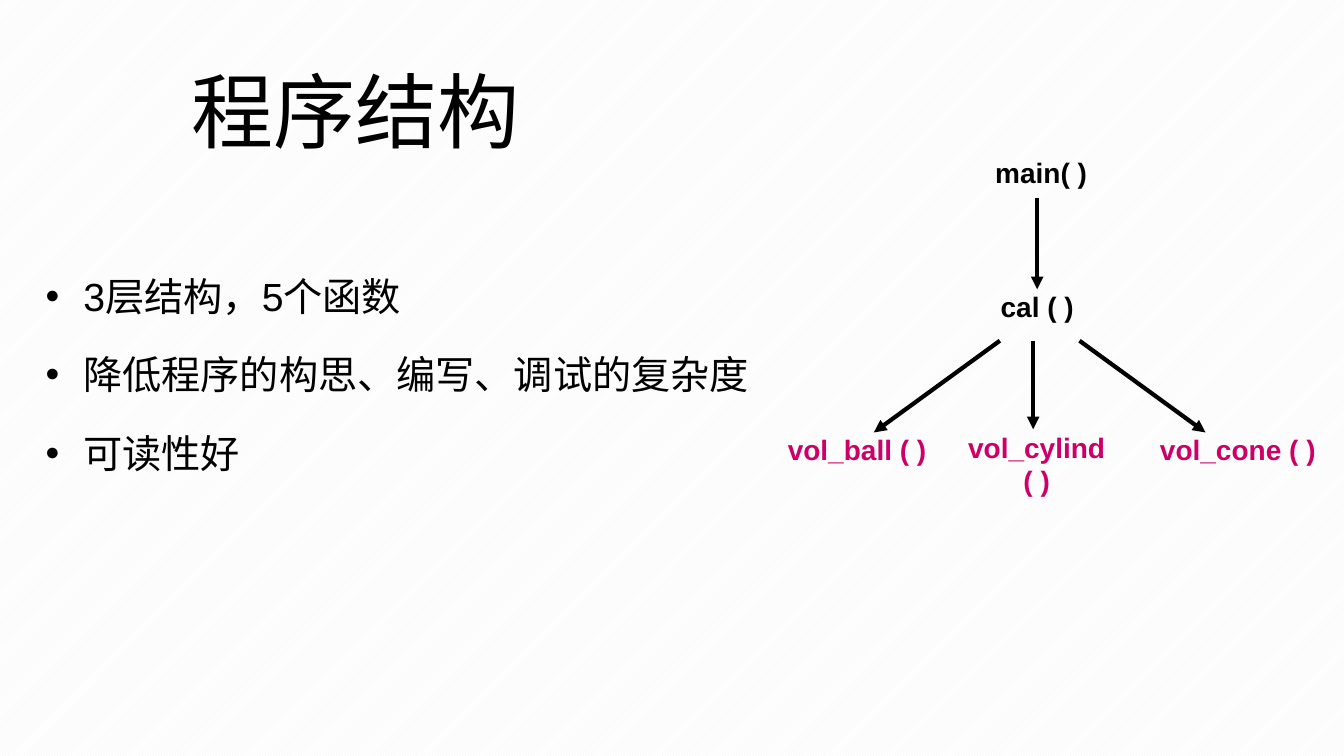
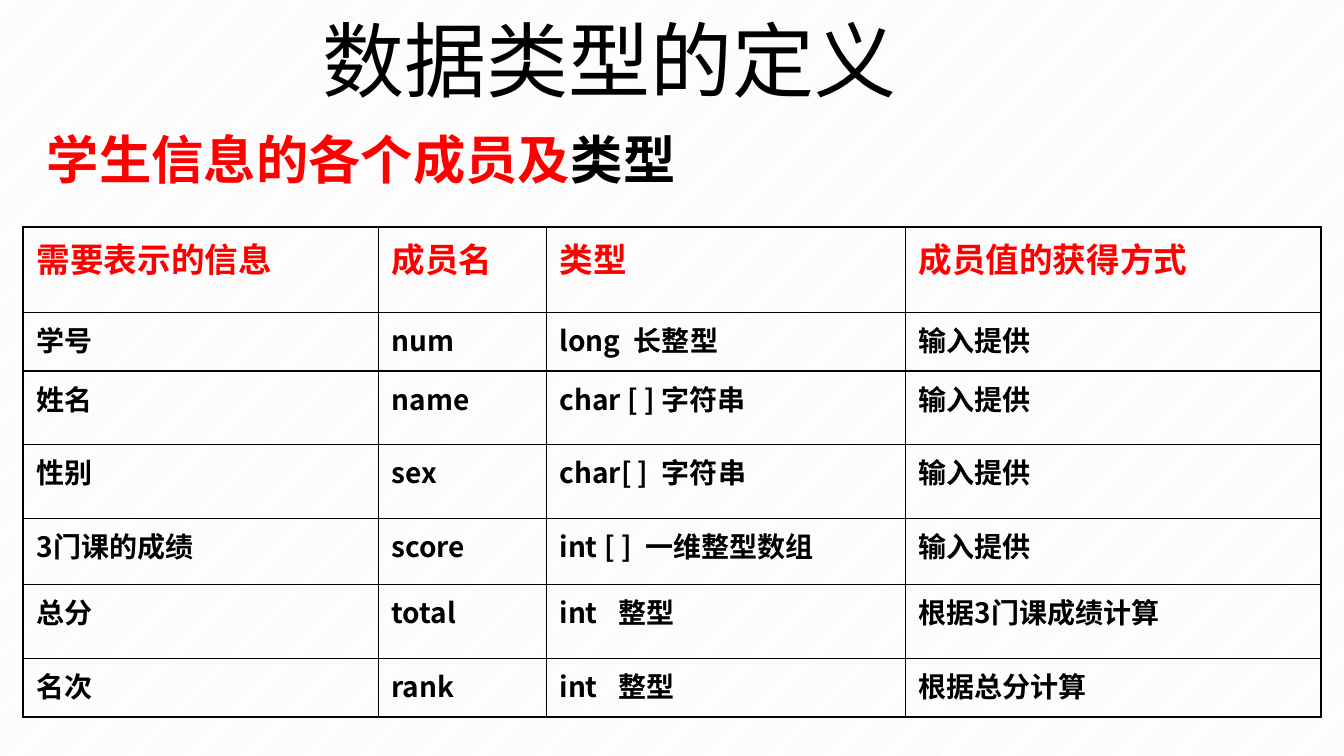
from dataclasses import dataclass

from lxml.etree import SubElement
from pptx import Presentation
from pptx.dml.color import RGBColor
from pptx.enum.dml import MSO_PATTERN
from pptx.enum.shapes import MSO_CONNECTOR
from pptx.enum.text import MSO_ANCHOR, MSO_AUTO_SIZE, PP_ALIGN
from pptx.oxml.ns import qn
from pptx.util import Pt

BLACK = RGBColor(0, 0, 0)
WHITE = RGBColor(255, 255, 255)
PALE = RGBColor(0xF2, 0xF2, 0xF2)
RED = RGBColor(255, 0, 0)
PINK = RGBColor(0xCC, 0, 0x66)
HATCH = MSO_PATTERN.LIGHT_UPWARD_DIAGONAL
STRAIGHT = MSO_CONNECTOR.STRAIGHT
TOP, MIDDLE = MSO_ANCHOR.TOP, MSO_ANCHOR.MIDDLE
LEFT, CENTER = PP_ALIGN.LEFT, PP_ALIGN.CENTER
FIXED = MSO_AUTO_SIZE.NONE
SANS = "Noto Sans CJK SC"
PAD_X, PAD_Y = 9.6, 4.8
TITLE_ONLY = 5


@dataclass(frozen=True)
class Box:
    """A rectangle in points."""
    x: float
    y: float
    w: float
    h: float


@dataclass(frozen=True)
class Style:
    """The look of a run of text."""
    size: float
    font: str = "Arial"
    color: RGBColor = BLACK
    bold: bool = False


@dataclass(frozen=True)
class Label:
    """A function name in the call tree."""
    text: str
    box: Box
    color: RGBColor = BLACK


@dataclass(frozen=True)
class Arrow:
    """A call from one function to another."""
    x1: float
    y1: float
    x2: float
    y2: float


@dataclass(frozen=True)
class Member:
    """A row of the table; gap widens the space inside the type."""
    info: str
    name: str
    kind: str
    gap: float
    label: str
    source: str


HEAD = Style(58.6)
LIST = Style(28)
COLS = (253.5, 120, 256.5, 297)
ROWS = (61.2, 41.8, 52.6, 52.6, 47.5, 52.6, 41.8)
HEADERS = ("需要表示的信息", "成员名", "类型", "成员值的获得方式")
POINTS = ("3层结构，5个函数", "降低程序的构思、编写、调试的复杂度", "可读性好")
LABELS = (
    Label("main( )", Box(689, 107.3, 109.4, 65.5)),
    Label("cal ( )", Box(686.2, 203, 109.4, 65.5)),
    Label("vol_ball ( )", Box(548.6, 305.3, 127.4, 52.6), PINK),
    Label("vol_cylind ( )", Box(674.5, 303.8, 132, 47.5), PINK),
    Label("vol_cone ( )", Box(812.9, 305.3, 142.6, 52.6), PINK),
)
ARROWS = (
    Arrow(740.9, 141.1, 740.9, 206.6),
    Arrow(714.2, 243.4, 624.2, 308.9),
    Arrow(738, 243.4, 738, 306.7),
    Arrow(771.1, 243.4, 861.1, 308.9),
)
MEMBERS = (
    Member("学号", "num", "long", 5, "长整型", "输入提供"),
    Member("姓名", "name", "char [ ]", 0, "字符串", "输入提供"),
    Member("性别", "sex", "char[ ]", 5, "字符串", "输入提供"),
    Member("3门课的成绩", "score", "int [ ]", 5, "一维整型数组", "输入提供"),
    Member("总分", "total", "int", 10, "整型", "根据3门课成绩计算"),
    Member("名次", "rank", "int", 10, "整型", "根据总分计算"),
)


def add_run(para, text: str, style: Style, gap: float = 0) -> None:
    """Add one styled run, with letter spacing if asked."""
    run = para.add_run()
    run.text = text
    font = run.font
    font.name, font.size, font.bold = style.font, Pt(style.size), style.bold
    font.color.rgb = style.color
    props = font._element
    SubElement(props, qn("a:ea")).set("typeface", style.font)
    if gap:
        props.set("spc", str(round(gap * 100)))


def set_pad(frame) -> None:
    """Set the wide insets that titles and lists share."""
    frame.margin_left = frame.margin_right = Pt(PAD_X)
    frame.margin_top = frame.margin_bottom = Pt(PAD_Y)


def add_text(shapes, box: Box, align=LEFT, anchor=TOP):
    """Add a wrapping text box and return its frame."""
    shape = shapes.add_textbox(Pt(box.x), Pt(box.y), Pt(box.w), Pt(box.h))
    frame = shape.text_frame
    frame.word_wrap = True
    frame.vertical_anchor = anchor
    frame.paragraphs[0].alignment = align
    return frame


def add_slide(deck, text: str, box: Box, anchor):
    """Add a slide and format its title."""
    slide = deck.slides.add_slide(deck.slide_layouts[TITLE_ONLY])
    title = slide.shapes.title
    title.left, title.top = Pt(box.x), Pt(box.y)
    title.width, title.height = Pt(box.w), Pt(box.h)
    frame = title.text_frame
    frame.auto_size = FIXED
    frame.word_wrap = True
    frame.vertical_anchor = anchor
    set_pad(frame)
    para = frame.paragraphs[0]
    para.alignment = CENTER
    add_run(para, text, HEAD)
    return slide


def add_list(shapes, box: Box) -> None:
    """Add the bullet list."""
    frame = add_text(shapes, box)
    set_pad(frame)
    for i, text in enumerate(POINTS):
        para = frame.add_paragraph() if i else frame.paragraphs[0]
        para.line_spacing = 1.5
        para.space_before = Pt(5.6)
        props = para._p.get_or_add_pPr()
        props.set("marL", str(Pt(27)))
        props.set("indent", str(Pt(-27)))
        SubElement(props, qn("a:buFont")).set("typeface", "Arial")
        SubElement(props, qn("a:buChar")).set("char", "•")
        add_run(para, text, LIST)


def add_arrow(shapes, arrow: Arrow) -> None:
    """Add a straight arrow without a shadow."""
    ends = (Pt(n) for n in (arrow.x1, arrow.y1, arrow.x2, arrow.y2))
    link = shapes.add_connector(STRAIGHT, *ends)
    link.line.color.rgb = BLACK
    link.line.width = Pt(3)
    SubElement(link.line._get_or_add_ln(), qn("a:tailEnd")).set("type", "triangle")
    SubElement(link._element.spPr, qn("a:effectLst"))


def add_tree(slide) -> None:
    """Add the call tree as one group."""
    shapes = slide.shapes.add_group_shape().shapes
    for label in LABELS:
        frame = add_text(shapes, label.box, CENTER)
        style = Style(20, color=label.color, bold=True)
        add_run(frame.paragraphs[0], label.text, style)
    for arrow in ARROWS:
        add_arrow(shapes, arrow)


def set_edge(cell, side: str, width: float) -> None:
    """Draw one black border of a cell."""
    props = cell._tc.get_or_add_tcPr()
    line = SubElement(props, qn(f"a:ln{side}"), w=str(Pt(width)))
    fill = SubElement(line, qn("a:solidFill"))
    SubElement(fill, qn("a:srgbClr")).set("val", str(BLACK))


def add_table(shapes, box: Box) -> None:
    """Add the table of members with a heavier frame."""
    frame = shapes.add_table(len(ROWS), len(COLS), Pt(box.x), Pt(box.y),
                             Pt(box.w), Pt(box.h))
    table = frame.table
    table.first_row = table.horz_banding = False
    for col, width in zip(table.columns, COLS):
        col.width = Pt(width)
    for row, height in zip(table.rows, ROWS):
        row.height = Pt(height)
    head = Style(24, SANS, RED, True)
    body = Style(20, SANS, bold=True)
    for r in range(len(ROWS)):
        for c in range(len(COLS)):
            cell = table.cell(r, c)
            set_pad(cell)
            outer = {"L": c == 0, "R": c == len(COLS) - 1,
                     "T": r == 0, "B": r == len(ROWS) - 1}
            for side, heavy in outer.items():
                set_edge(cell, side, 2 if heavy else 1)
            cell.fill.background()
    for c, text in enumerate(HEADERS):
        add_run(table.cell(0, c).text_frame.paragraphs[0], text, head)
    for r, item in enumerate(MEMBERS, 1):
        paras = [table.cell(r, c).text_frame.paragraphs[0]
                 for c in range(len(COLS))]
        add_run(paras[0], item.info, body)
        add_run(paras[1], item.name, body)
        add_run(paras[2], item.kind, body)
        add_run(paras[2], " ", body, item.gap)
        add_run(paras[2], item.label, body)
        add_run(paras[3], item.source, body)


def main() -> None:
    """Build and save both slides."""
    deck = Presentation()
    deck.slide_width, deck.slide_height = Pt(960), Pt(540)
    fill = deck.slide_master.background.fill
    fill.patterned()
    fill.pattern = HATCH
    fill.fore_color.rgb, fill.back_color.rgb = PALE, WHITE

    tree = add_slide(deck, "程序结构", Box(69.8, 49, 368, 59), MIDDLE)
    add_list(tree.shapes, Box(23, 172.8, 552.2, 168.5))
    add_tree(tree)

    data = add_slide(deck, "数据类型的定义", Box(3.6, 2.2, 864, 85.7), TOP)
    frame = add_text(data.shapes, Box(1.4, 87.1, 513.4, 52.6), CENTER, MIDDLE)
    para = frame.paragraphs[0]
    for text, color in (("学生信息的各个成员及", RED), ("类型", BLACK)):
        add_run(para, text, Style(37.4, "Roboto", color, True))
    add_table(data.shapes, Box(16.6, 162, sum(COLS), sum(ROWS)))
    deck.save("out.pptx")


if __name__ == "__main__":
    main()
